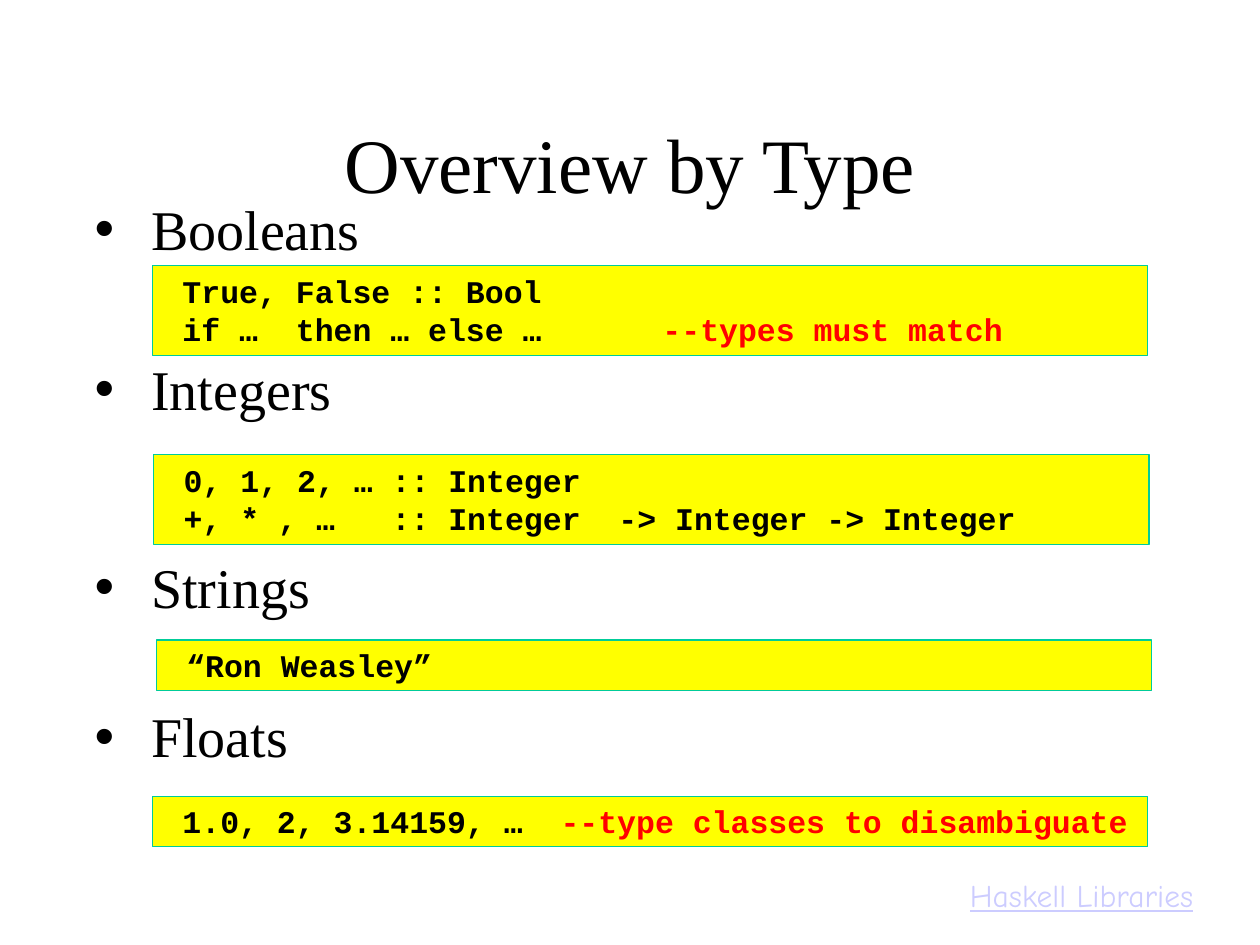
from pptx import Presentation
from pptx.dml.color import RGBColor
from pptx.enum.shapes import MSO_SHAPE
from pptx.enum.text import MSO_ANCHOR, MSO_AUTO_SIZE, PP_ALIGN
from pptx.util import Inches, Pt

BLACK, RED, YELLOW, GREEN, LILAC = "000000", "FF0000", "FFFF00", "00CC99", "CCCCFF"
SERIF, MONO, CASUAL = "Times New Roman", "Courier New", "Comic Neue"

TITLE = "Overview by Type"
FOOTER = "Haskell Libraries"
# topic, space before it in points
TOPICS = [("Booleans", 4), ("Integers", 53), ("Strings", 75), ("Floats", 47)]
# left, top, lines of (code, comment)
EXAMPLES = [
    (1.21, 2.11, [("True, False :: Bool", ""),
                  ("if …  then … else …\t\t", "--types must match")]),
    (1.22, 3.61, [("0, 1, 2, … :: Integer", ""),
                  ("+, * , …   :: Integer  -> Integer -> Integer", "")]),
    (1.24, 5.08, [("“Ron Weasley”", "")]),
    (1.21, 6.32, [("1.0, 2, 3.14159, …  ", "--type classes to disambiguate")]),
]
EXAMPLE_WIDTH, LINE_HEIGHT, PADDING = 7.9, 0.31, 0.09


def color(value):
    return RGBColor.from_string(value)


def set_font(font, name, size, value):
    font.name, font.size = name, Pt(size)
    font.color.rgb = color(value)


def place(shape, *lengths):
    shape.left, shape.top, shape.width, shape.height = map(Inches, lengths)


def set_indent(para, margin, first):
    """Set the left margin and the first-line offset, in inches."""
    properties = para._p.get_or_add_pPr()
    properties.set("marL", str(Inches(margin)))
    properties.set("indent", str(Inches(first)))


def paragraphs(frame, count):
    return [frame.paragraphs[0]] + [frame.add_paragraph() for _ in range(count - 1)]


def add_title(page):
    title = page.shapes.title
    place(title, 0.75, 0.67, 8.5, 1.25)
    title.text = TITLE
    title.text_frame.vertical_anchor = MSO_ANCHOR.MIDDLE
    para = title.text_frame.paragraphs[0]
    para.alignment = PP_ALIGN.CENTER
    set_font(para.font, SERIF, 44, BLACK)


def add_topics(page):
    body = page.placeholders[1]
    place(body, 0.5, 1.49, 8.94, 5.42)
    frame = body.text_frame
    frame.auto_size = MSO_AUTO_SIZE.NONE
    for para, (topic, gap) in zip(paragraphs(frame, len(TOPICS)), TOPICS):
        para.text = topic
        para.space_before = Pt(gap)
        set_indent(para, 0.6, -0.45)
        set_font(para.font, SERIF, 32, BLACK)


def add_example(page, left, top, lines):
    height = PADDING + LINE_HEIGHT * len(lines)
    box = page.shapes.add_shape(MSO_SHAPE.RECTANGLE, Inches(left), Inches(top),
                                Inches(EXAMPLE_WIDTH), Inches(height))
    box.shadow.inherit = False
    box.fill.solid()
    box.fill.fore_color.rgb = color(YELLOW)
    box.line.color.rgb = color(GREEN)
    box.line.width = Pt(0.75)
    frame = box.text_frame
    frame.word_wrap = True
    frame.vertical_anchor = MSO_ANCHOR.TOP
    for para, (code, comment) in zip(paragraphs(frame, len(lines)), lines):
        para.alignment = PP_ALIGN.LEFT
        set_indent(para, 0.45, -0.31)
        set_font(para.font, MONO, 18, BLACK)
        para.font.bold = True
        para.add_run().text = code
        if comment:
            span = para.add_run()
            span.text = comment
            span.font.color.rgb = color(RED)


def add_footer(page):
    box = page.shapes.add_textbox(*map(Inches, (7.6, 6.9, 2.1, 0.4)))
    box.text_frame.word_wrap = False
    para = box.text_frame.paragraphs[0]
    para.text = FOOTER
    set_font(para.font, CASUAL, 18, LILAC)
    para.font.underline = True


def main():
    deck = Presentation()
    deck.slide_width, deck.slide_height = Inches(10), Inches(7.5)
    page = deck.slides.add_slide(deck.slide_layouts[1])
    add_title(page)
    add_topics(page)
    add_footer(page)
    for example in EXAMPLES:
        add_example(page, *example)
    deck.save("out.pptx")


if __name__ == "__main__":
    main()
